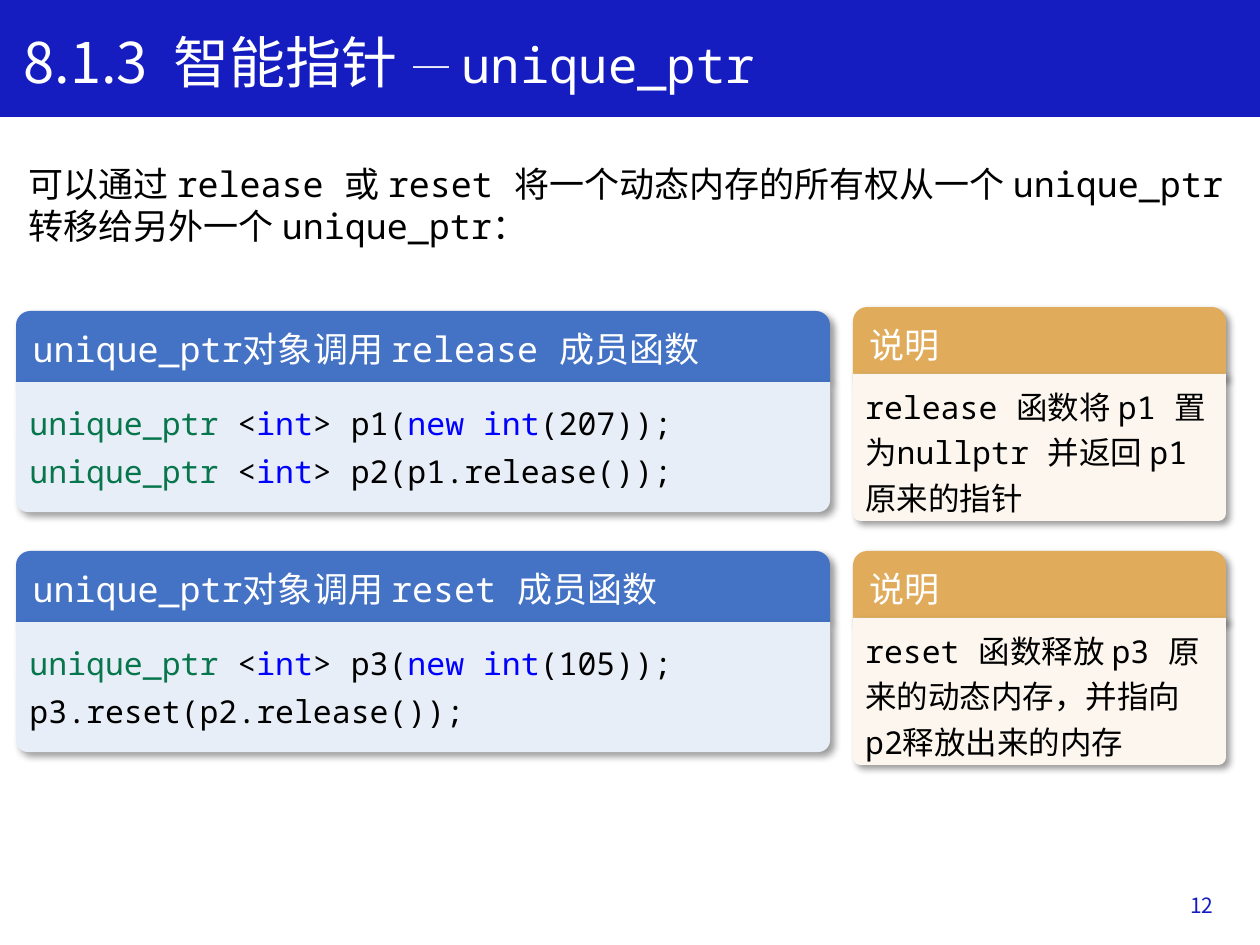
from lxml.etree import SubElement
from pptx import Presentation
from pptx.dml.color import RGBColor
from pptx.enum.shapes import MSO_SHAPE as Shape
from pptx.enum.text import MSO_ANCHOR as Anchor, MSO_AUTO_SIZE as AutoSize, PP_ALIGN as Align
from pptx.oxml import parse_xml
from pptx.oxml.ns import nsdecls, qn
from pptx.util import Emu, Pt

EMU_PER_PX = 914400 / 126
CJK, MONO = "Noto Sans CJK SC", "Noto Sans Mono"
COLORS = {
    "navy": "151DC1", "white": "FFFFFF", "black": "000000",
    "type": "08764C", "keyword": "0000FF",
    "code_head": "4472C4", "code_body": "E8EEF8",
    "note_head": "E0AB5B", "note_body": "FCF6EE",
}
CARD_STYLES = {
    "code": {"left": 16, "width": 814, "head": 71, "body": 130, "radius": 0.09,
             "title_font": MONO, "anchor": Anchor.MIDDLE,
             "paragraph": {"alignment": Align.LEFT}},
    "note": {"left": 853, "width": 373, "head": 71, "body": 147, "radius": 0.05,
             "title_font": CJK, "anchor": Anchor.TOP,
             "paragraph": {"alignment": Align.LEFT, "line_spacing": Pt(26)}},
}
BODY_INSETS = {"margin_left": 10, "margin_right": 10, "margin_bottom": 3}


def px(length):
    """Turn pixels into EMU."""
    return Emu(round(length * EMU_PER_PX))


def color(key):
    """Look up a named colour."""
    return RGBColor.from_string(COLORS[key])


def apply(target, values):
    """Set every attribute named in values."""
    for key, value in values.items():
        setattr(target, key, value)


def write_paragraph(paragraph, runs, values):
    """Write (text, font, size, colour) runs into a paragraph."""
    apply(paragraph, values)
    for text, face, size, tint in runs:
        run = paragraph.add_run()
        run.text = text
        apply(run.font, {"name": face, "size": Pt(size), "bold": False})
        run.font.color.rgb = color(tint)
        SubElement(run.font._element, qn("a:ea")).set("typeface", CJK)


def write_frame(frame, paragraphs, anchor=Anchor.TOP, values=None, insets=None):
    """Format a text frame and fill it with paragraphs."""
    apply(frame, {"word_wrap": True, "auto_size": AutoSize.NONE, "vertical_anchor": anchor})
    apply(frame, {side: px(length) for side, length in (insets or {}).items()})
    for index, runs in enumerate(paragraphs):
        paragraph = frame.add_paragraph() if index else frame.paragraphs[0]
        write_paragraph(paragraph, runs, values or {"alignment": Align.LEFT})
        if index:
            paragraph.space_before = Pt(6)


def add_text(slide, box, runs, **options):
    """Add a text box with one paragraph."""
    area = slide.shapes.add_textbox(*map(px, box))
    write_frame(area.text_frame, [runs], **options)


def add_panel(shapes, kind, box, fill, corners=()):
    """Add a flat filled shape without an outline."""
    panel = shapes.add_shape(kind, *map(px, box))
    panel.shadow.inherit = False
    panel.fill.solid()
    panel.fill.fore_color.rgb = color(fill)
    panel.line.fill.background()
    for index, radius in enumerate(corners):
        panel.adjustments[index] = radius
    return panel


def add_shadow(panel):
    """Give a panel a soft shadow towards the lower right."""
    effects = panel._element.spPr.find(qn("a:effectLst"))
    effects.append(parse_xml(
        f'<a:outerShdw {nsdecls("a")} blurRad="50800" dist="38100" dir="2700000" '
        'algn="tl" rotWithShape="0"><a:srgbClr val="000000">'
        '<a:alpha val="40000"/></a:srgbClr></a:outerShdw>'))


def add_card(slide, kind, head_top, body_top, title, paragraphs):
    """Add a grouped card with a heading and a body."""
    style = CARD_STYLES[kind]
    left, width = style["left"], style["width"]
    shapes = slide.shapes.add_group_shape().shapes
    heading = add_panel(shapes, Shape.ROUND_2_SAME_RECTANGLE,
                        (left, head_top, width, style["head"]), f"{kind}_head", (0.2, 0))
    body = add_panel(shapes, Shape.ROUND_2_SAME_RECTANGLE,
                     (left, body_top, width, style["body"]), f"{kind}_body",
                     (0, style["radius"]))
    for panel in (heading, body):
        add_shadow(panel)
    write_frame(heading.text_frame, [[(title, style["title_font"], 20, "white")]], Anchor.MIDDLE)
    write_frame(body.text_frame, paragraphs, style["anchor"], style["paragraph"], BODY_INSETS)


def code(*tokens):
    """Turn (text, colour) tokens into code runs."""
    return [(text, MONO, 18, tint) for text, tint in tokens]


def declaration(*tail):
    """Build the runs of a unique_ptr declaration."""
    return code(("unique_ptr ", "type"), ("<", "black"), ("int", "keyword"), *tail)


def allocation(name, value):
    """Build a declaration that allocates an int."""
    return declaration((f"> {name}(", "black"), ("new int", "keyword"), (f"({value}));", "black"))


def add_title(slide):
    """Add the title bar and format the title placeholder."""
    bar = add_panel(slide.shapes, Shape.RECTANGLE, (0, 0, 1260, 116), "navy")
    bar.line.color.rgb = color("navy")
    bar.line.width = Pt(1)
    slide.shapes._spTree.insert(2, bar._element)
    title = slide.shapes.title
    apply(title, dict(zip(("left", "top", "width", "height"), map(px, (11, 21, 1173, 81)))))
    write_frame(title.text_frame, [[("8.1.3  智能指针 ", CJK, 32, "white"),
                                    ("— ", CJK, 24, "white"),
                                    ("unique_ptr", MONO, 28, "white")]])


def main():
    """Build the slide on moving ownership between unique_ptr objects."""
    deck = Presentation()
    apply(deck, {"slide_width": px(1260), "slide_height": px(945)})
    slide = deck.slides.add_slide(deck.slide_layouts[5])
    add_title(slide)
    add_text(slide, (942, 880, 284, 50), [("12", CJK, 12, "navy")],
             anchor=Anchor.MIDDLE, values={"alignment": Align.RIGHT})
    intro = [("可以通过 ", CJK), ("release ", MONO), ("或 ", CJK), ("reset ", MONO),
             ("将一个动态内存的所有权从一个 ", CJK), ("unique_ptr ", MONO),
             ("转移给另外一个 ", CJK), ("unique_ptr", MONO), ("：", CJK)]
    add_text(slide, (16, 156, 1244, 97), [(text, face, 20, "black") for text, face in intro],
             insets={"margin_right": 30})
    release_code = [allocation("p1", 207), declaration(("> p2(p1.release());", "black"))]
    reset_code = [allocation("p3", 105), code(("p3.reset(p2.release());", "black"))]
    release_note = "release 函数将 p1 置为nullptr 并返回 p1 原来的指针"
    reset_note = "reset 函数释放 p3 原来的动态内存，并指向 p2释放出来的内存"
    cards = [
        ("note", 307, 374, "说明", [code((release_note, "black"))]),
        ("code", 311, 382, "unique_ptr对象调用 release 成员函数", release_code),
        ("code", 551, 622, "unique_ptr对象调用 reset 成员函数", reset_code),
        ("note", 551, 618, "说明", [code((reset_note, "black"))]),
    ]
    for card in cards:
        add_card(slide, *card)
    deck.save("out.pptx")


if __name__ == "__main__":
    main()
